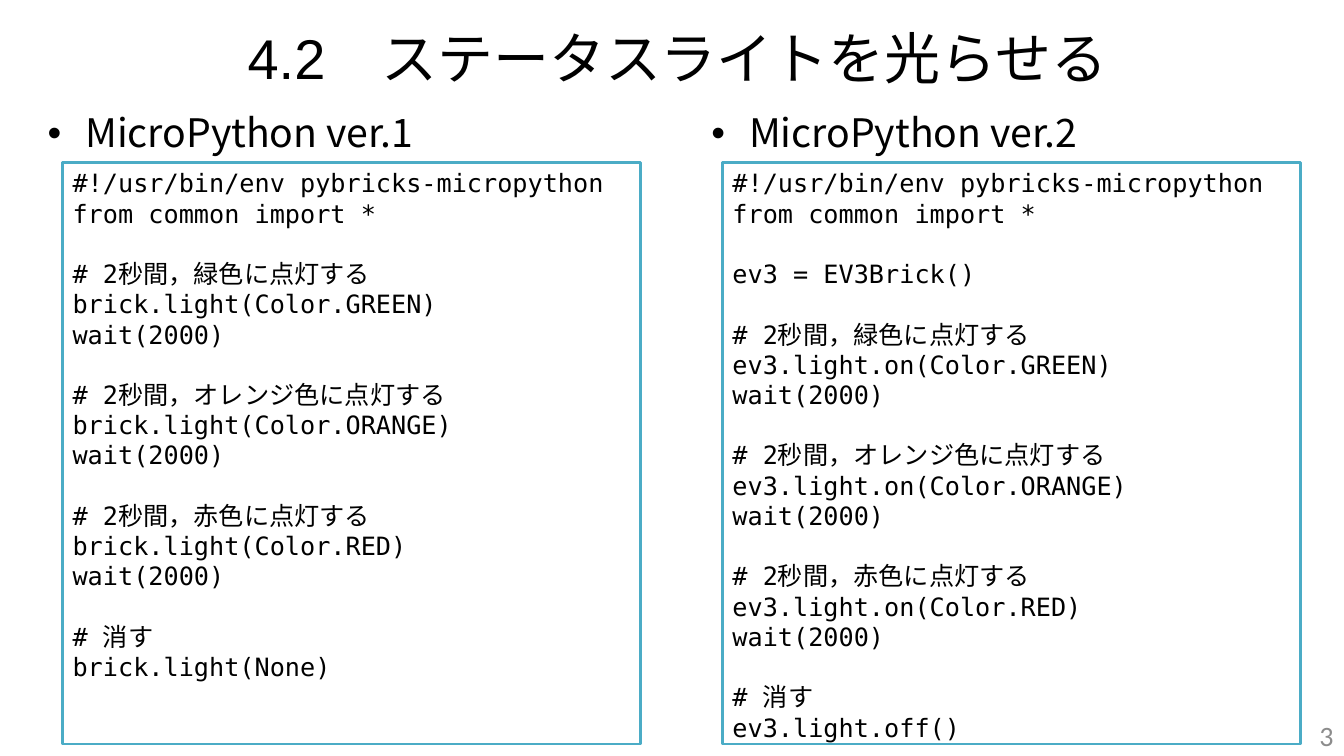
import pptx
import pptx.dml.color
import pptx.enum.shapes
import pptx.enum.text
import pptx.oxml.ns
import pptx.util
from lxml import etree
from pptx.util import Cm, Pt

BLACK = pptx.dml.color.RGBColor(0x00, 0x00, 0x00)
WHITE = pptx.dml.color.RGBColor(0xFF, 0xFF, 0xFF)
TEAL = pptx.dml.color.RGBColor(0x4B, 0xAC, 0xC6)
GREY = pptx.dml.color.RGBColor(0x8C, 0x8C, 0x8C)
JAPANESE_FONT = "Noto Sans CJK JP"
CODE_PITCH = Pt(21.6)
ALIGN = pptx.enum.text.PP_ALIGN
ANCHOR = pptx.enum.text.MSO_ANCHOR

HEADER = "#!/usr/bin/env pybricks-micropython\nfrom common import *"
COLOURS = [("緑色", "GREEN"), ("オレンジ色", "ORANGE"), ("赤色", "RED")]


def light_program(setup, light_call, off_call):
    """Return the program as blocks of lines, one block per step."""
    steps = [
        f"# 2秒間，{name}に点灯する\n{light_call}(Color.{constant})\nwait(2000)"
        for name, constant in COLOURS
    ]
    blocks = [HEADER, *setup, *steps, f"# 消す\n{off_call}"]
    return [block.split("\n") for block in blocks]


def style_paragraph(para, font_name, size, colour):
    para.font.name = font_name
    para.font.size = size
    para.font.color.rgb = colour
    for span in para.runs:
        properties = span.font._element
        east_asian = etree.SubElement(properties, pptx.oxml.ns.qn("a:ea"))
        east_asian.set("typeface", JAPANESE_FONT)


def add_label(page, text, left, top, width, height, font_name, size,
              colour=BLACK, align=ALIGN.LEFT, anchor=ANCHOR.MIDDLE):
    box = page.shapes.add_textbox(left, top, width, height)
    box.text_frame.word_wrap = True
    box.text_frame.vertical_anchor = anchor
    para = box.text_frame.paragraphs[0]
    para.text = text
    para.alignment = align
    style_paragraph(para, font_name, size, colour)
    return para


def add_bullet_heading(page, text, left):
    para = add_label(page, text, left, Cm(2.74), Cm(16.1), Cm(1.35),
                     JAPANESE_FONT, Pt(28), anchor=ANCHOR.TOP)
    para.line_spacing = 0.9
    properties = para._p.get_or_add_pPr()
    properties.set("marL", str(Cm(0.95)))
    properties.set("indent", str(-Cm(0.95)))
    bullet_font = etree.Element(pptx.oxml.ns.qn("a:buFont"), typeface="Arial")
    bullet = etree.Element(pptx.oxml.ns.qn("a:buChar"), char="•")
    run_defaults = properties.find(pptx.oxml.ns.qn("a:defRPr"))
    run_defaults.addprevious(bullet_font)
    run_defaults.addprevious(bullet)


def add_code_box(page, blocks, left):
    box = page.shapes.add_shape(pptx.enum.shapes.MSO_SHAPE.RECTANGLE,
                                left, Cm(4.1), Cm(14.56), Cm(14.65))
    box.shadow.inherit = False
    box.fill.solid()
    box.fill.fore_color.rgb = WHITE
    box.line.color.rgb = TEAL
    box.line.width = Pt(2)
    frame = box.text_frame
    frame.word_wrap = True
    frame.vertical_anchor = ANCHOR.TOP
    para = frame.paragraphs[0]
    for block_index, block in enumerate(blocks):
        for line_index, line in enumerate(block):
            if block_index or line_index:
                para = frame.add_paragraph()
            para.text = line
            para.alignment = ALIGN.LEFT
            para.line_spacing = CODE_PITCH
            if block_index and line_index == 0:
                para.space_before = CODE_PITCH
            style_paragraph(para, "DejaVu Sans Mono", Pt(18), BLACK)


def main():
    deck = pptx.Presentation()
    deck.slide_width = Cm(33.87)
    deck.slide_height = Cm(19.05)
    page = deck.slides.add_slide(deck.slide_layouts[6])

    add_label(page, "4.2　ステータスライトを光らせる", Cm(0.95), Cm(0.25),
              Cm(32.25), Cm(2.4), "Arial", Pt(40), align=ALIGN.CENTER)
    add_label(page, "3", Cm(31.86), Cm(18.03), Cm(2), Cm(1.02),
              "Calibri", Pt(20), GREY, ALIGN.RIGHT)

    add_bullet_heading(page, "MicroPython ver.1", Cm(0.95))
    add_code_box(page, light_program([], "brick.light", "brick.light(None)"),
                 Cm(1.58))

    add_bullet_heading(page, "MicroPython ver.2", Cm(17.68))
    add_code_box(page, light_program(["ev3 = EV3Brick()"], "ev3.light.on",
                                     "ev3.light.off()"), Cm(18.21))

    deck.save("out.pptx")


if __name__ == "__main__":
    main()
